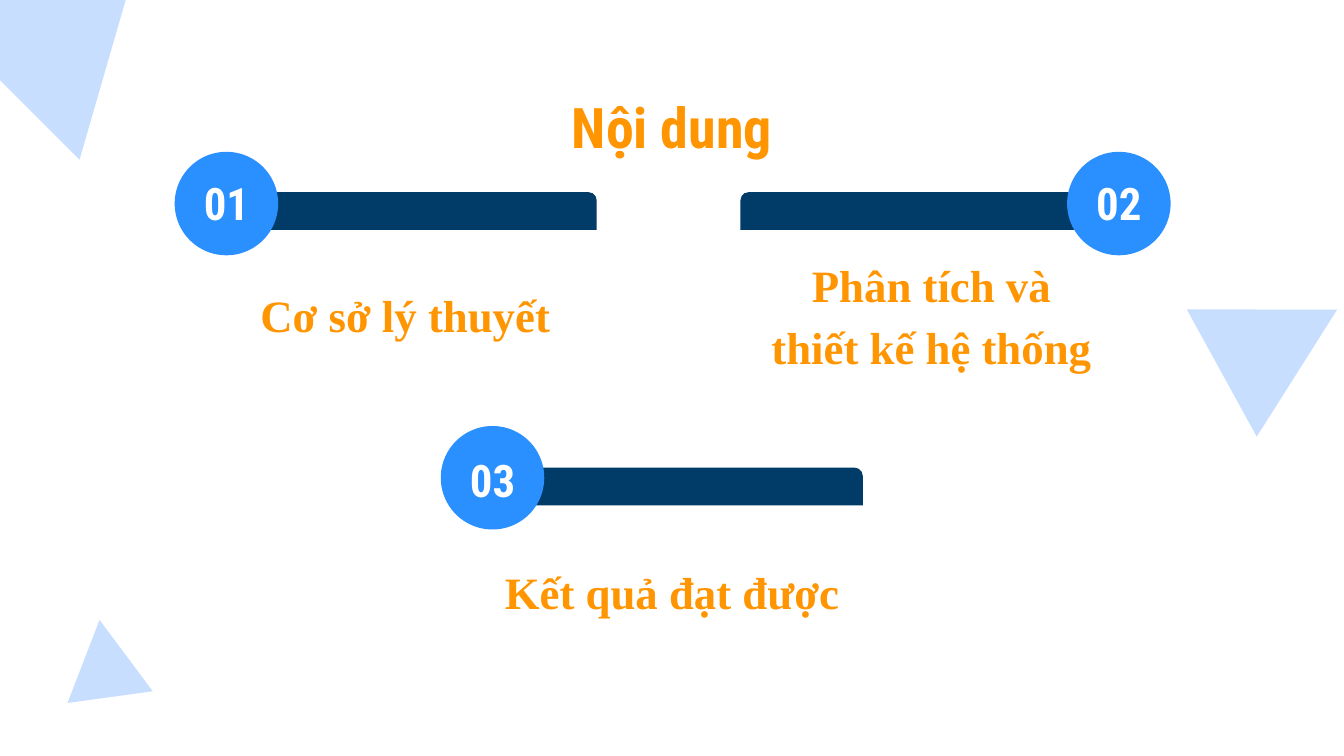
from dataclasses import dataclass

from pptx import Presentation
from pptx.dml.color import RGBColor
from pptx.enum.shapes import MSO_SHAPE
from pptx.enum.text import MSO_ANCHOR, PP_ALIGN
from pptx.util import Inches, Pt

TRIANGLE = MSO_SHAPE.ISOSCELES_TRIANGLE
CIRCLE = MSO_SHAPE.OVAL
ROUNDED_PAIR = MSO_SHAPE.ROUND_2_SAME_RECTANGLE
TOP = MSO_ANCHOR.TOP
MIDDLE = MSO_ANCHOR.MIDDLE
CENTER = PP_ALIGN.CENTER


@dataclass(frozen=True)
class Theme:
    """Colours, fonts and type sizes of the slide."""
    white: str = "FFFFFF"
    pale: str = "C8DEFF"
    navy: str = "003C67"
    blue: str = "2A90FF"
    orange: str = "FF9500"
    heading_font: str = "Roboto Condensed"
    caption_font: str = "Times New Roman"
    title_size: int = 30
    text_size: int = 24


@dataclass(frozen=True)
class Section:
    """Wording and places of one numbered section."""
    number: str
    caption: str
    card: tuple
    badge: tuple
    number_top: float
    caption_box: tuple


THEME = Theme()
CARD_WIDTH = 2.84
BAR_HEIGHT = 0.28
BODY_HEIGHT = 1.26
CORNER = 0.06
BADGE_SIZE = 0.77

TRIANGLES = [
    ((8.98, 2.05, 1.08, 0.98), 61.2),
    ((-0.49, -1.1, 2.03, 1.84), 45),
    ((0.46, 4.61, 0.64, 0.58), 352.2),
]
SECTIONS = [
    Section("02", "Phân tích và\vthiết kế hệ thống", (5.51, 1.43),
            (7.94, 1.13), 1.18, (5.51, 1.76, 2.84, 1.13)),
    Section("03", "Kết quả đạt được", (3.58, 3.48),
            (3.28, 3.17), 3.24, (3.58, 4.04, 2.84, 0.77)),
    Section("01", "Cơ sở lý thuyết", (1.6, 1.43),
            (1.3, 1.13), 1.18, (1.78, 1.98, 2.47, 0.77)),
]


def add_filled_shape(shapes, kind, box, color):
    """Add a flat shape without outline or shadow."""
    shape = shapes.add_shape(kind, *map(Inches, box))
    shape.shadow.inherit = False
    shape.fill.solid()
    shape.fill.fore_color.rgb = RGBColor.from_string(color)
    shape.line.fill.background()
    return shape


def add_text(slide, text, box, font_name, size, color, anchor=TOP):
    """Add a centred bold text box and return its paragraph."""
    frame = slide.shapes.add_textbox(*map(Inches, box)).text_frame
    frame.word_wrap = True
    frame.vertical_anchor = anchor
    frame.margin_left = frame.margin_right = Inches(0.1)
    frame.margin_top = frame.margin_bottom = Inches(0.1)
    paragraph = frame.paragraphs[0]
    paragraph.text = text
    paragraph.alignment = CENTER
    paragraph.font.name = font_name
    paragraph.font.size = Pt(size)
    paragraph.font.bold = True
    paragraph.font.color.rgb = RGBColor.from_string(color)
    return paragraph


def add_card(slide, left, top):
    """Add a grouped white card with a navy bar along its top."""
    shapes = slide.shapes.add_group_shape().shapes
    body_box = (left, top + BAR_HEIGHT, CARD_WIDTH, BODY_HEIGHT)
    body = add_filled_shape(shapes, ROUNDED_PAIR, body_box, THEME.white)
    body.adjustments[0] = 0
    body.adjustments[1] = CORNER / BODY_HEIGHT
    bar_box = (left, top, CARD_WIDTH, BAR_HEIGHT)
    bar = add_filled_shape(shapes, ROUNDED_PAIR, bar_box, THEME.navy)
    bar.adjustments[0] = CORNER / BAR_HEIGHT


def add_section_shapes(slide, section):
    """Add the card and the round badge of a section."""
    add_card(slide, *section.card)
    badge_box = (*section.badge, BADGE_SIZE, BADGE_SIZE)
    add_filled_shape(slide.shapes, CIRCLE, badge_box, THEME.blue)


def add_section_text(slide, section):
    """Add the caption and the number of a section."""
    caption = add_text(slide, section.caption, section.caption_box,
                       THEME.caption_font, THEME.text_size, THEME.orange)
    caption.line_spacing = 1.15
    caption.space_after = Pt(12)
    number_box = (section.badge[0] + 0.05, section.number_top, 0.67, 0.66)
    add_text(slide, section.number, number_box, THEME.heading_font,
             THEME.text_size, THEME.white, MIDDLE)


def main():
    """Build the contents slide and save it."""
    presentation = Presentation()
    presentation.slide_width = Inches(10)
    presentation.slide_height = Inches(5.625)
    slide = presentation.slides.add_slide(presentation.slide_layouts[6])
    for box, rotation in TRIANGLES:
        triangle = add_filled_shape(slide.shapes, TRIANGLE, box, THEME.pale)
        triangle.rotation = rotation
    for section in SECTIONS:
        add_section_shapes(slide, section)
    add_text(slide, "Nội dung", (0.78, 0.59, 8.44, 0.7), THEME.heading_font,
             THEME.title_size, THEME.orange)
    for section in reversed(SECTIONS):
        add_section_text(slide, section)
    presentation.save("out.pptx")


if __name__ == "__main__":
    main()
